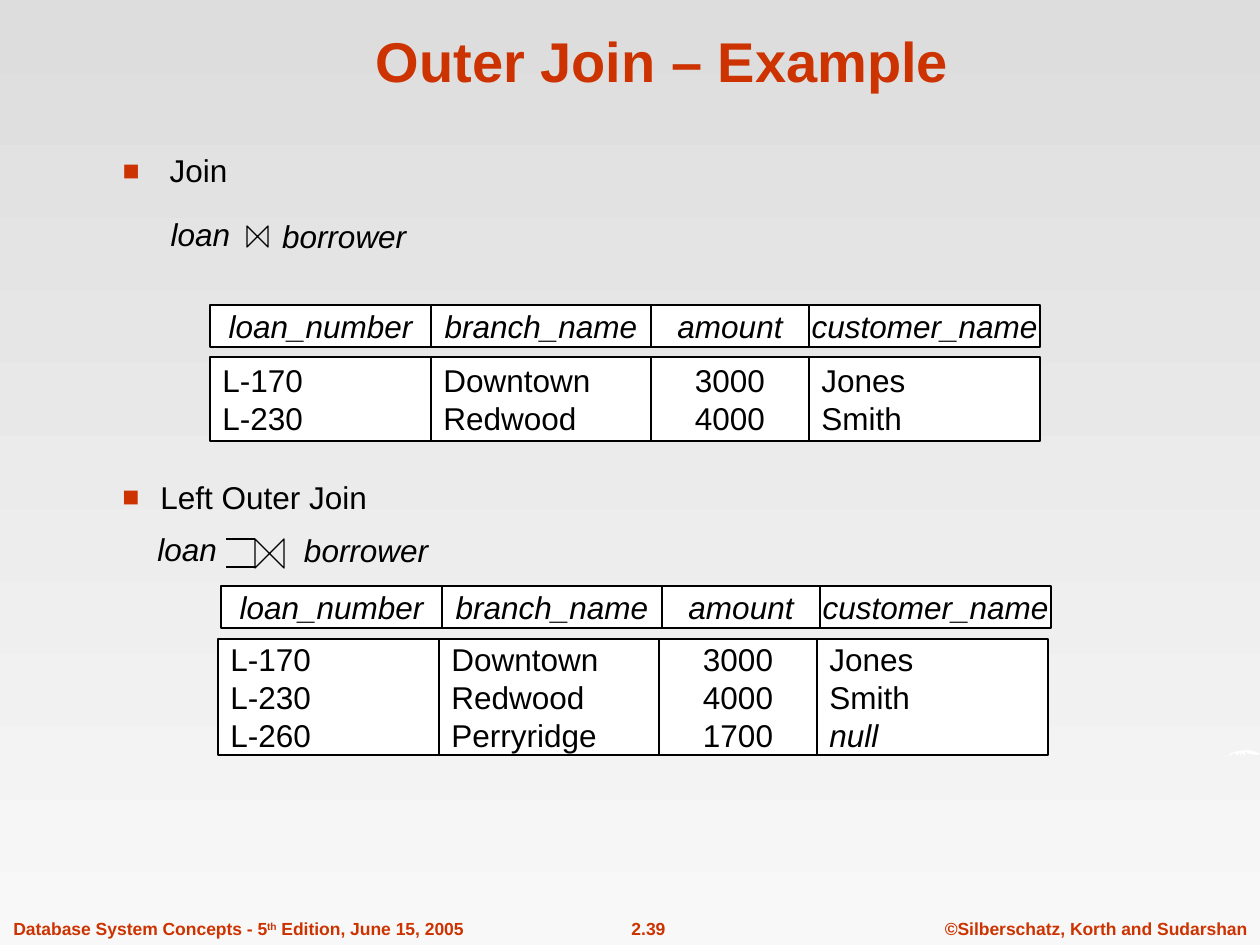
from lxml import etree
from pptx import Presentation
from pptx import util as u
from pptx.dml.color import RGBColor
from pptx.enum import shapes, text
from pptx.oxml import ns

PX = u.Inches(1) / 126
BLACK = RGBColor(0, 0, 0)
WHITE = RGBColor(0xFF, 0xFF, 0xFF)
RUST = RGBColor(0xCC, 0x33, 0x00)
GREY_TOP = RGBColor(0xDD, 0xDD, 0xDD)
GREY_BOTTOM = RGBColor(0xF8, 0xF8, 0xF8)
LEFT, CENTER = text.PP_ALIGN.LEFT, text.PP_ALIGN.CENTER


def px(*lengths):
    """Turn pixel lengths into EMU."""
    return [round(length * PX) for length in lengths]


def write(para, words, size=18, color=BLACK, **look):
    span = para.add_run()
    span.text = words
    look = {"name": "Arial", "size": u.Pt(size), "bold": False, "italic": False, **look}
    for key, value in look.items():
        setattr(span.font, key, value)
    span.font.color.rgb = color
    return span


deck = Presentation()
deck.slide_width, deck.slide_height = px(1260, 945)
page = deck.slides.add_slide(deck.slide_layouts[1])

backdrop = page.background.fill
backdrop.gradient()
backdrop.gradient_angle = 270
for stop, color in zip(backdrop.gradient_stops, (GREY_TOP, GREY_BOTTOM)):
    stop.color.rgb = color

# Footer
for left, width, align, parts in [
    (932, 328, CENTER, ["©Silberschatz, Korth and Sudarshan"]),
    (587, 123, CENTER, ["2.39"]),
    (1, 480, LEFT, ["Database System Concepts - 5", "th", " Edition, June 15, 2005"]),
]:
    box = page.shapes.add_textbox(*px(left, 912, width, 34))
    box.text_frame.word_wrap = False
    para = box.text_frame.paragraphs[0]
    para.alignment = align
    for part in parts:
        span = write(para, part, 10, RUST, bold=True)
        if part == "th":
            span.font._element.set("baseline", "30000")

# White fleck at the right edge
fleck_points = [
    (1228, 757), (1231, 753), (1238, 751), (1248, 750), (1256, 752), (1260, 754),
    (1258, 755), (1250, 754), (1245, 752), (1245, 756), (1241, 752), (1241, 756),
    (1238, 752), (1238, 756), (1235, 753), (1231, 755),
]
outline = page.shapes.build_freeform(*fleck_points[0], scale=PX)
outline.add_line_segments(fleck_points[1:], close=True)
fleck = outline.convert_to_shape()
fleck.shadow.inherit = False
fleck.fill.solid()
fleck.fill.fore_color.rgb = WHITE
fleck.line.fill.background()

# Title
title = page.shapes.title
title.left, title.top, title.width, title.height = px(106, 16, 1113, 84)
title.text_frame.vertical_anchor = text.MSO_ANCHOR.BOTTOM
title.text_frame.auto_size = text.MSO_AUTO_SIZE.NONE
title.text_frame.paragraphs[0].alignment = CENTER
write(title.text_frame.paragraphs[0], "Outer Join – Example", 32, RUST, bold=True)

# Bulleted names, each with its expression; the join symbol sits between the operands
body = page.placeholders[1]
body.left, body.top, body.width, body.height = px(110, 149, 964, 116)
outer_box = page.shapes.add_textbox(*px(110, 472, 583, 102))
for box, name, hang, indent, gap, spacing, operand_left, operand_middle in [
    (body, "Join", 47, 48, 17, 0.9, 282, 236),
    (outer_box, "Left Outer Join", 38, 35, 8, 1.0, 304, 550),
]:
    frame = box.text_frame
    frame.word_wrap = True
    frame.auto_size = text.MSO_AUTO_SIZE.NONE
    heading, formula = frame.paragraphs[0], frame.add_paragraph()
    for para, before, margin, first in ((heading, 0, hang, -hang), (formula, gap, indent, 0)):
        para.alignment = LEFT
        para.line_spacing = spacing
        para.space_before = u.Pt(before)
        props = para._p.get_or_add_pPr()
        props.set("marL", str(px(margin)[0]))
        props.set("indent", str(px(first)[0]))
    write(heading, name)
    write(formula, "loan", italic=True)
    etree.SubElement(formula._p.get_or_add_pPr(), ns.qn("a:buNone"))

    props = heading._p.get_or_add_pPr()
    color = etree.SubElement(props, ns.qn("a:buClr"))
    etree.SubElement(color, ns.qn("a:srgbClr"), val=str(RUST))
    etree.SubElement(props, ns.qn("a:buSzPct"), val="90000")
    etree.SubElement(props, ns.qn("a:buFont"), typeface="Arial")
    etree.SubElement(props, ns.qn("a:buChar"), char="■")

    operand = page.shapes.add_textbox(*px(operand_left, operand_middle - 23, 160, 46))
    operand.text_frame.word_wrap = True
    operand.text_frame.margin_left = 0
    operand.text_frame.vertical_anchor = text.MSO_ANCHOR.MIDDLE
    write(operand.text_frame.paragraphs[0], "borrower", italic=True)

# Relations: a header row and a taller row of values
headers = ["loan_number", "branch_name", "amount", "customer_name"]
widths = [221, 220, 158, 231]
join_rows = [["L-170", "L-230"], ["Downtown", "Redwood"], ["3000", "4000"], ["Jones", "Smith"]]
extra_row = ["L-260", "Perryridge", "1700", "null"]
outer_rows = [values + [extra] for values, extra in zip(join_rows, extra_row)]
header_cells = [[name] for name in headers]

for bands in [
    [(210, 305, 42, header_cells), (210, 357, 84, join_rows)],
    [(221, 586, 42, header_cells), (218, 639, 116, outer_rows)],
]:
    relation = page.shapes.add_group_shape()
    for left, top, height, columns in bands:
        is_header = columns is header_cells
        for name, width, values in zip(headers, widths, columns):
            cell = relation.shapes.add_shape(
                shapes.MSO_SHAPE.RECTANGLE, *px(left, top, width, height))
            left += width
            cell.shadow.inherit = False
            cell.fill.solid()
            cell.fill.fore_color.rgb = WHITE
            cell.line.color.rgb = BLACK
            cell.line.width = u.Pt(0.75)
            frame = cell.text_frame
            frame.word_wrap = not is_header
            frame.vertical_anchor = text.MSO_ANCHOR.MIDDLE
            for index, value in enumerate(values):
                para = frame.add_paragraph() if index else frame.paragraphs[0]
                para.alignment = CENTER if is_header or name == "amount" else LEFT
                write(para, value, italic=is_header or value == "null")

# Join symbols
for left, top, size in [(247, 226, 21), (255, 539, 29)]:
    bowtie = page.shapes.add_shape(
        shapes.MSO_SHAPE.FLOWCHART_COLLATE, *px(left, top, size, size))
    bowtie.rotation = 270
    bowtie.shadow.inherit = False
    bowtie.fill.background()
    bowtie.line.color.rgb = BLACK
    bowtie.line.width = u.Pt(0.75)
for y in (539, 567):
    bar = page.shapes.add_connector(shapes.MSO_CONNECTOR.STRAIGHT, *px(255, y, 226, y))
    bar.line.color.rgb = BLACK
    bar.line.width = u.Pt(0.75)
    etree.SubElement(bar._element.spPr, ns.qn("a:effectLst"))

deck.save("out.pptx")
